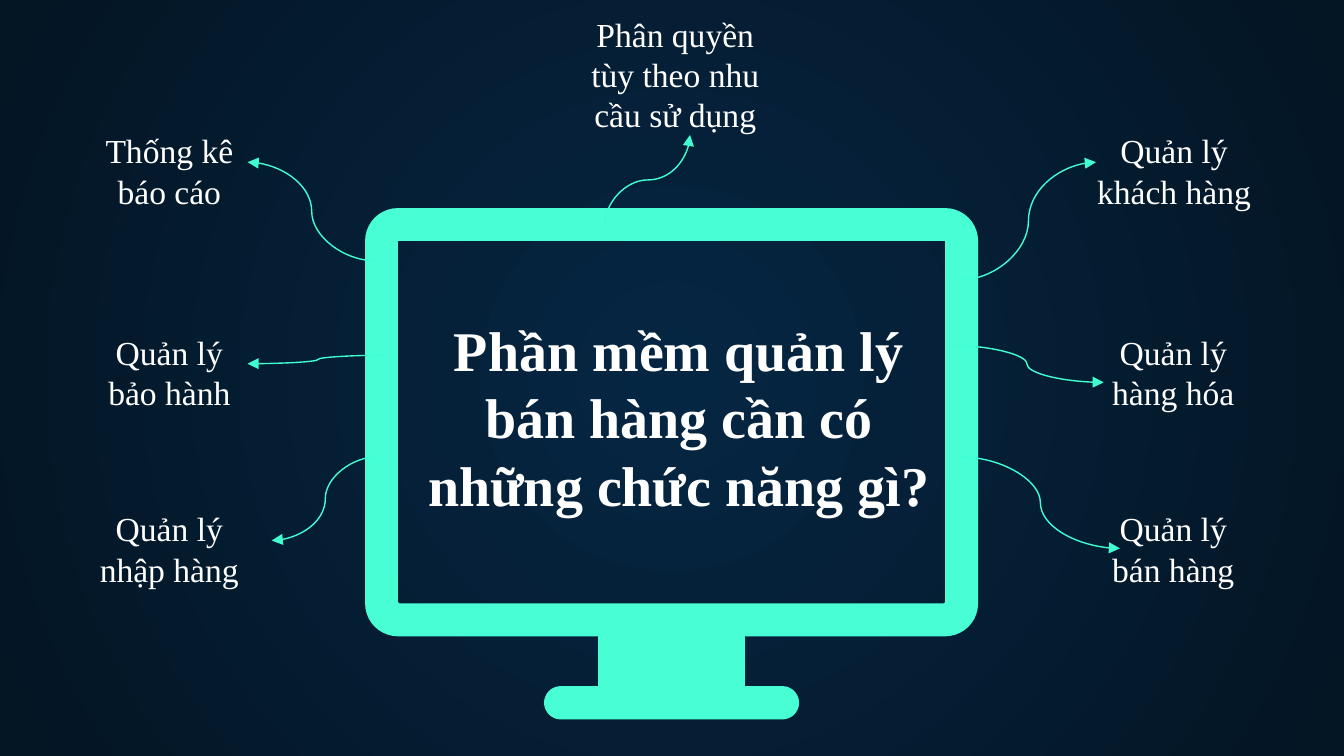
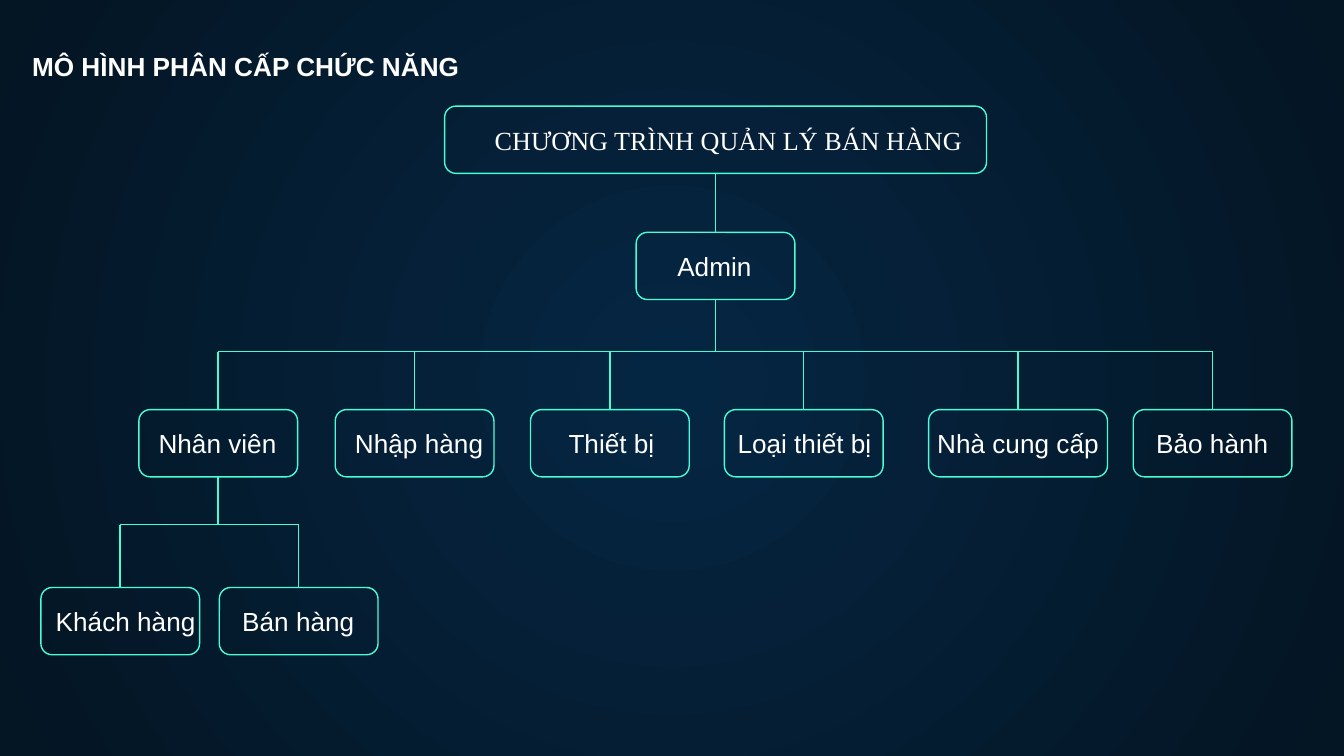
from math import cos, hypot, pi, sin

from lxml.etree import SubElement
from pptx import Presentation
from pptx.dml.color import RGBColor
from pptx.enum.shapes import MSO_CONNECTOR as CONN, MSO_SHAPE as SHAPE
from pptx.enum.text import MSO_ANCHOR as ANCHOR, MSO_AUTO_SIZE as AUTO, PP_ALIGN as ALIGN
from pptx.oxml.ns import qn
from pptx.util import Pt

COLORS = {
    "glow": "052643",
    "edge": "041523",
    "frame": "48FFD5",
    "line": "42FED3",
    "text": "FFFFFF",
}
SERIF, SANS = "Times New Roman", "Arial"
NODE_W, NODE_H = 85, 36


def rgb(name):
    return RGBColor.from_string(COLORS[name])


def new_slide(prs):
    s = prs.slides.add_slide(prs.slide_layouts[6])
    fill = s.background.fill
    fill.gradient()
    for stop, name, position in zip(fill.gradient_stops, ("glow", "edge"), (0, 1)):
        stop.color.rgb = rgb(name)
        stop.position = position
    grad = next(s._element.iter(qn("a:gradFill")))
    grad.remove(grad.find(qn("a:lin")))
    path = SubElement(grad, qn("a:path"), path="circle")
    SubElement(path, qn("a:fillToRect"), l="50000", t="50000", r="50000", b="50000")
    return s


def add_text(s, box, text, size, font, bold=False, wrap=True, anchor=ANCHOR.TOP, spacing=None):
    tf = s.shapes.add_textbox(*map(Pt, box)).text_frame
    tf.word_wrap = wrap
    tf.vertical_anchor = anchor
    if wrap:
        tf.margin_top = tf.margin_bottom = Pt(7.2)
    else:
        tf.auto_size = AUTO.SHAPE_TO_FIT_TEXT
    p = tf.paragraphs[0]
    p.text = text
    p.alignment = ALIGN.CENTER
    p.line_spacing = spacing
    p.font.size = Pt(size)
    p.font.name = font
    p.font.bold = bold
    p.font.color.rgb = rgb("text")


def add_line(s, start, end, kind=CONN.STRAIGHT, arrow=False, turn=0):
    c = s.shapes.add_connector(kind, *map(Pt, (*start, *end)))
    c.line.color.rgb = rgb("line")
    c.line.width = Pt(0.75)
    props = c._element.spPr
    if arrow:
        SubElement(c.line._get_or_add_ln(), qn("a:tailEnd"), type="triangle")
    if turn:
        props.find(qn("a:xfrm")).set("rot", str(turn * 60000))
    SubElement(props, qn("a:effectLst"))


def rounded_outline(corners, steps=10):
    points = []
    for i, (x, y, radius) in enumerate(corners):
        if not radius:
            points.append((Pt(x), Pt(y)))
            continue
        (ux, uy), (vx, vy) = (
            ((nx - x) / hypot(nx - x, ny - y), (ny - y) / hypot(nx - x, ny - y))
            for nx, ny, _ in (corners[i - 1], corners[(i + 1) % len(corners)])
        )
        for k in range(steps + 1):
            a, b = 1 - sin(k * pi / 2 / steps), 1 - cos(k * pi / 2 / steps)
            points.append((Pt(x + radius * (ux * a + vx * b)), Pt(y + radius * (uy * a + vy * b))))
    return points


def add_monitor(s):
    left, top, right, bottom = 195.6, 111.5, 524, 340.9
    neck_left, neck_right = 320.4, 399
    base_left, base_top, base_right, base_bottom = 291.5, 367.6, 428.1, 385.4
    bezel, cap = 17.6, 8.9
    body = rounded_outline([
        (left, top, bezel), (right, top, bezel), (right, bottom, bezel),
        (neck_right, bottom, 0), (neck_right, base_top, 0),
        (base_right, base_top, cap), (base_right, base_bottom, cap),
        (base_left, base_bottom, cap), (base_left, base_top, cap),
        (neck_left, base_top, 0), (neck_left, bottom, 0), (left, bottom, bezel),
    ])
    screen = rounded_outline([
        (left + bezel, top + bezel, 0), (left + bezel, bottom - bezel, 1.2),
        (right - bezel, bottom - bezel, 1.2), (right - bezel, top + bezel, 0),
    ])
    builder = s.shapes.build_freeform(*body[0])
    builder.add_line_segments(body[1:])
    builder.move_to(*screen[0])
    builder.add_line_segments(screen[1:])
    sp = builder.convert_to_shape()
    sp.shadow.inherit = False
    sp.fill.solid()
    sp.fill.fore_color.rgb = rgb("frame")
    sp.line.fill.background()


def add_node(s, left, top, text, label_left, label_w, width=NODE_W, font=SANS):
    sp = s.shapes.add_shape(SHAPE.ROUNDED_RECTANGLE, *map(Pt, (left, top, width, NODE_H)))
    sp.shadow.inherit = False
    sp.fill.background()
    sp.line.color.rgb = rgb("frame")
    sp.line.width = Pt(0.75)
    add_text(s, (label_left, top + 6, label_w, 24.2), text, 14, font, wrap=False)


def add_branch(s, x, top, bar, bottom, children):
    add_line(s, (x, top), (x, bar))
    add_line(s, (children[0], bar), (children[-1], bar))
    for child in children:
        add_line(s, (child, bar), (child, bottom))


def build_features(prs):
    s = new_slide(prs)
    add_monitor(s)
    add_text(s, (218.2, 159.8, 290.9, 124.6), "Phần mềm quản lý bán hàng cần có những chức năng gì?",
             30, SERIF, bold=True, anchor=ANCHOR.BOTTOM)
    upper, middle, lower = 62.6, 170.6, 265
    features = [
        ("Phân quyền tùy theo nhu cầu sử dụng", 301.7, 0, 120.2, 82.8),
        ("Quản lý hàng hóa", 586.8, middle, 83.5, 49),
        ("Quản lý khách hàng", 578.2, upper, 101.5, 49),
        ("Quản lý nhập hàng", 36, lower, 109.4, 49),
        ("Quản lý bán hàng", 586.8, lower, 83.5, 49),
        ("Quản lý bảo hành", 49, middle, 83.5, 49),
        ("Thống kê báo cáo", 49, upper, 83.5, 49),
    ]
    for text, *box in features:
        add_text(s, box, text, 18, SERIF)
    arrows = [
        ((201.4, 139.8), (132.7, 86.9), 0),
        ((208.1, 190.3), (132.7, 194.9), 0),
        ((203, 244.6), (145.6, 289.6), 0),
        ((371, 119.3), (322.7, 73.6), 90),
        ((514.8, 149.9), (587.1, 86.9), 0),
        ((509, 185), (591.3, 204.9), 0),
        ((514.8, 244.8), (600, 293.8), 0),
    ]
    for start, end, turn in arrows:
        add_line(s, start, end, CONN.CURVE, arrow=True, turn=turn)


def build_hierarchy(prs):
    s = new_slide(prs)
    add_text(s, (8.9, 15.2, 245.6, 32.3), "MÔ HÌNH PHÂN CẤP CHỨC NĂNG", 14, SANS,
             bold=True, wrap=False, spacing=1.5)
    program, admin, modules, staff = 56.9, 124.5, 219.5, 314.8
    add_node(s, 238.2, program, "CHƯƠNG TRÌNH QUẢN LÝ BÁN HÀNG", 254.6, 271.4, 290.3, SERIF)
    add_node(s, 340.8, admin, "Admin", 355.4, 54.7)
    module_nodes = [
        (74.4, "Nhân viên", 77.6, 77.8, NODE_W),
        (179.6, "Nhập hàng", 182.8, 83.5, NODE_W),
        (284.2, "Thiết bị", 288, 79.2, NODE_W),
        (388.1, "Loại thiết bị", 387.8, 86.4, NODE_W),
        (497.5, "Nhà cung cấp", 494.6, 101.5, 95.8),
        (607.1, "Bảo hành", 612, 74.9, NODE_W),
    ]
    staff_nodes = [
        (21.9, "Khách hàng", 22.3, 90),
        (117.5, "Bán hàng", 122.4, 74.9),
    ]
    for left, *node in module_nodes:
        add_node(s, left, modules, *node)
    for left, *node in staff_nodes:
        add_node(s, left, staff, *node)
    trunk = 340.8 + NODE_W / 2
    module_xs = [left + width / 2 for left, *_, width in module_nodes]
    staff_xs = [left + NODE_W / 2 for left, *_ in staff_nodes]
    add_line(s, (trunk, program + NODE_H), (trunk, admin))
    add_branch(s, trunk, admin + NODE_H, 188.4, modules, module_xs)
    add_branch(s, module_xs[0], modules + NODE_H, 281, staff, staff_xs)


def main():
    prs = Presentation()
    prs.slide_width, prs.slide_height = Pt(720), Pt(405)
    build_features(prs)
    build_hierarchy(prs)
    prs.save("out.pptx")


if __name__ == "__main__":
    main()
